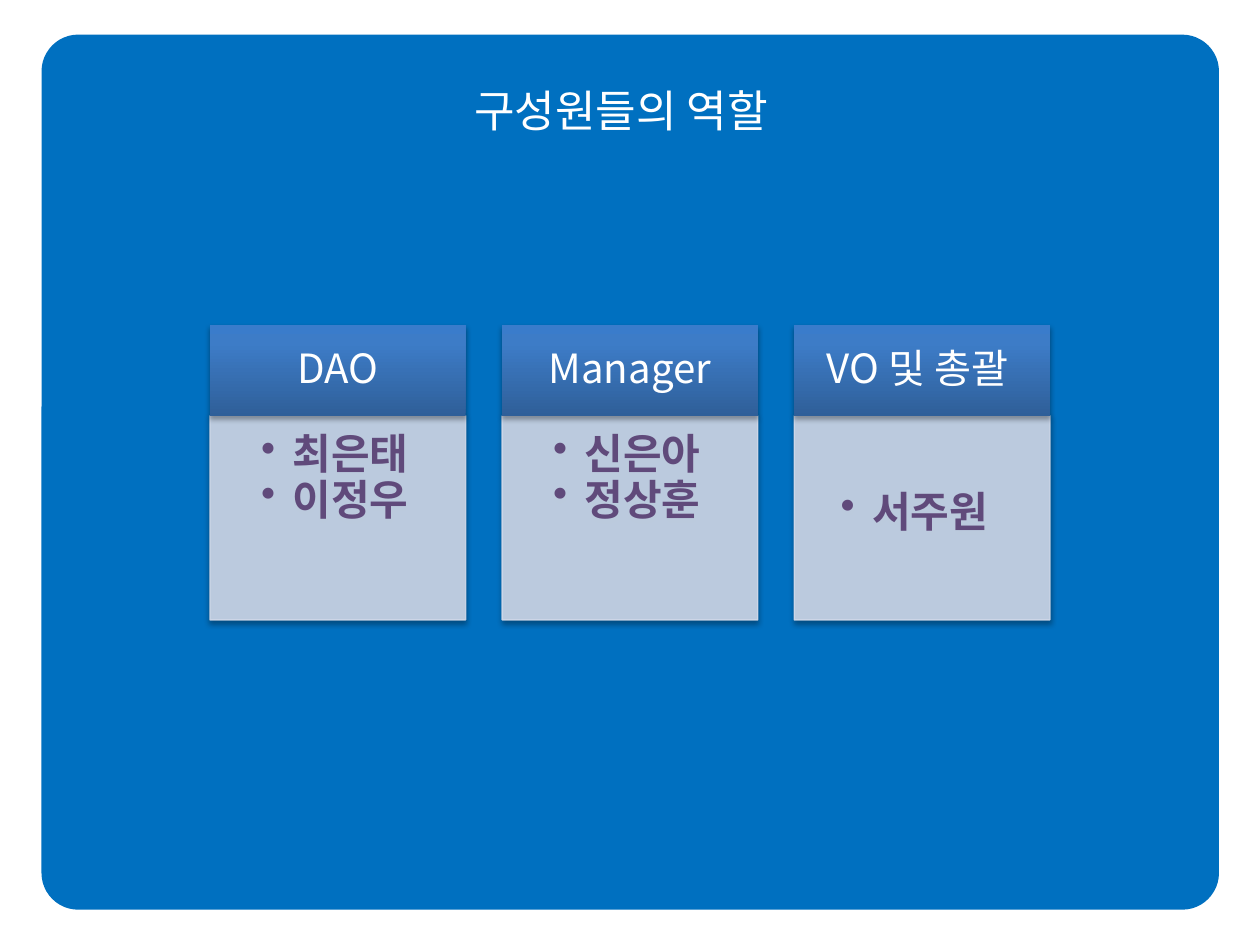
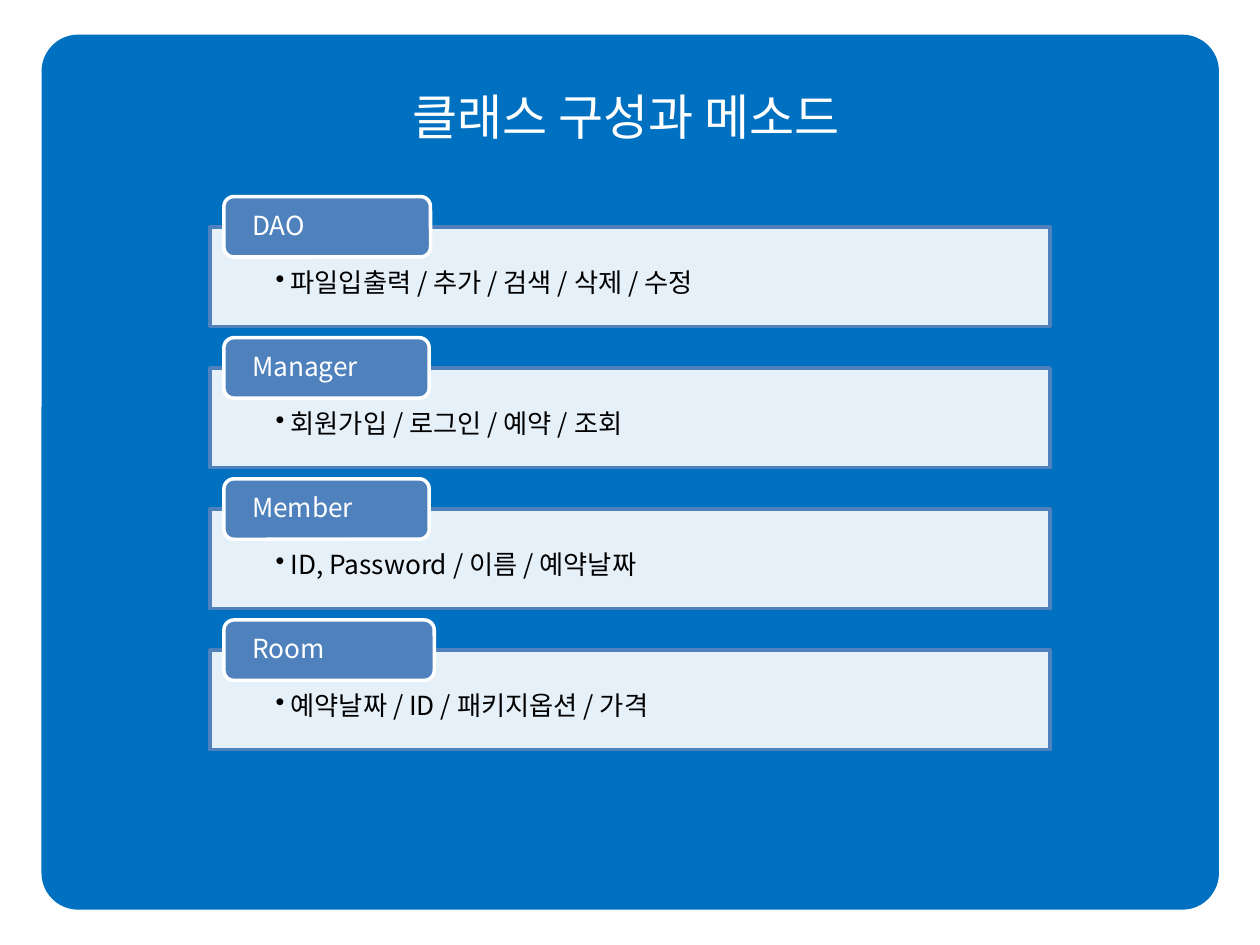
from dataclasses import dataclass

from lxml.etree import SubElement
from pptx import Presentation
from pptx.dml.color import RGBColor
from pptx.enum.shapes import MSO_SHAPE
from pptx.enum.text import MSO_ANCHOR, PP_ALIGN
from pptx.oxml import parse_xml
from pptx.oxml.ns import nsdecls, qn
from pptx.util import Emu, Inches, Pt

COLS, ROWS = 100, 75
WIDTH, HEIGHT = Inches(10), Inches(7.5)
UNIT = WIDTH // COLS


@dataclass(frozen=True)
class Theme:
    panel: str = "0070C0"
    white: str = "FFFFFF"
    black: str = "000000"
    accent: str = "4F81BD"
    card: str = "D0D8E8"
    member: str = "604A7B"
    header: tuple = ((0, "2F5F99"), (80, "3D7CC7"), (100, "3A7CCB"))
    font: str = "Noto Sans CJK KR"
    alt_font: str = "Noto Sans CJK JP"
    role_size: float = 23
    member_size: float = 24
    row_size: float = 15


@dataclass(frozen=True)
class Box:
    """Place on the slide in grid columns and rows."""
    x: float
    y: float
    w: float
    h: float

    def inner(self, x, y, w, h):
        return Box(self.x + x, self.y + y, w, h)

    def emu(self):
        return [Emu(round(v * UNIT)) for v in (self.x, self.y, self.w, self.h)]


T = Theme()
SLIDE = Box(0, 0, COLS, ROWS)
CONTENT = SLIDE.inner(16.67, 15.6, 66.67, 43.9)

ROLES = [
    ("DAO", ["최은태", "이정우"], T.alt_font, MSO_ANCHOR.TOP),
    ("Manager", ["신은아", "정상훈"], T.alt_font, MSO_ANCHOR.TOP),
    ("VO 및 총괄 ", ["서주원 "], T.font, MSO_ANCHOR.MIDDLE),
]
CLASSES = [
    ("DAO", "파일입출력 / 추가 / 검색 / 삭제 / 수정", 16.4),
    ("Manager", "회원가입 / 로그인 / 예약 / 조회", 16.3),
    ("Member", "ID, Password / 이름 / 예약날짜", 16.3),
    ("Room", "예약날짜 / ID / 패키지옵션 / 가격", 16.7),
]


def set_alpha(fill, percent):
    color = fill._xPr.find(qn("a:solidFill"))[0]
    SubElement(color, qn("a:alpha"), val=str(percent * 1000))


def add_box(s, box, kind=MSO_SHAPE.RECTANGLE, fill=None, line=None, width=2, alpha=100):
    sp = s.shapes.add_shape(kind, *box.emu())
    sp.shadow.inherit = False
    if fill:
        sp.fill.solid()
        sp.fill.fore_color.rgb = RGBColor.from_string(fill)
        if alpha < 100:
            set_alpha(sp.fill, alpha)
    if line:
        sp.line.color.rgb = RGBColor.from_string(line)
        sp.line.width = Pt(width)
    else:
        sp.line.fill.background()
    return sp


def fill_gradient(sp, stops):
    """Fill from the bottom edge upwards."""
    sp.fill.gradient()
    sp.fill.gradient_angle = 90
    gs_list = sp.fill._xPr.find(qn("a:gradFill")).find(qn("a:gsLst"))
    for gs in list(gs_list):
        gs_list.remove(gs)
    for pos, color in stops:
        gs = SubElement(gs_list, qn("a:gs"), pos=str(pos * 1000))
        SubElement(gs, qn("a:srgbClr"), val=color)


def add_shadow(sp):
    effects = sp._element.spPr.find(qn("a:effectLst"))
    effects.append(parse_xml(
        f'<a:outerShdw {nsdecls("a")} blurRad="{Pt(3.1)}" dist="{Pt(1.8)}" dir="5400000" '
        'rotWithShape="0"><a:srgbClr val="000000"><a:alpha val="35000"/></a:srgbClr>'
        '</a:outerShdw>'))


def write(sp, *lines, size, color=T.white, font=T.font, bold=False, align=PP_ALIGN.LEFT,
          anchor=MSO_ANCHOR.MIDDLE, insets=(0.1, 0.05, 0.1, 0.05), spacing=0.9, bullet=0):
    """Write one paragraph per line; bullet is the hanging indent in inches."""
    tf = sp.text_frame
    tf.word_wrap = True
    tf.vertical_anchor = anchor
    tf.margin_left, tf.margin_top, tf.margin_right, tf.margin_bottom = map(Inches, insets)
    for i, line in enumerate(lines):
        p = tf.paragraphs[0] if i == 0 else tf.add_paragraph()
        p.alignment = align
        p.line_spacing = spacing
        if bullet:
            pPr = p._p.get_or_add_pPr()
            pPr.set("marL", str(Inches(bullet)))
            pPr.set("indent", str(-Inches(bullet)))
            SubElement(pPr, qn("a:buChar"), char="•")
        r = p.add_run()
        r.text = line
        r.font.size, r.font.bold, r.font.name = Pt(size), bold, font
        r.font.color.rgb = RGBColor.from_string(color)
        SubElement(r._r.get_or_add_rPr(), qn("a:ea"), typeface=font)


def add_base(prs, title, box, size):
    """Add a slide with the rounded panel and its title."""
    s = prs.slides.add_slide(prs.slide_layouts[6])
    panel = add_box(s, SLIDE.inner(3.3, 2.75, 93.45, 69.45),
                    MSO_SHAPE.ROUNDED_RECTANGLE, T.panel)
    panel.adjustments[0] = 0.042
    write(s.shapes.add_textbox(*box.emu()), title, size=size,
          align=PP_ALIGN.CENTER, spacing=1.0)
    return s


def add_role_card(s, box, role, members, font, anchor):
    head_h = 7.2
    body = add_box(s, box.inner(0, head_h, box.w, box.h - head_h),
                   fill=T.card, line=T.card, width=0.75, alpha=90)
    set_alpha(body.line.fill, 90)
    head = add_box(s, box.inner(0, 0, box.w, head_h))
    fill_gradient(head, T.header)
    for sp in (head, body):
        add_shadow(sp)
    write(head, role, size=T.role_size, align=PP_ALIGN.CENTER, insets=(0.18, 0.1, 0.18, 0.1))
    write(body, *members, size=T.member_size, color=T.member, font=font, bold=True,
          align=PP_ALIGN.CENTER, anchor=anchor, insets=(0.14, 0.14, 0.19, 0.21), bullet=0.25)


def add_class_row(s, box, name, methods, tab_w):
    body = add_box(s, box.inner(0, 2.4, box.w, 7.9), fill=T.white, line=T.accent, alpha=90)
    write(body, methods, size=T.row_size, color=T.black, anchor=MSO_ANCHOR.TOP,
          insets=(0.52, 0.34, 0.52, 0.12), bullet=0.12)
    tab = add_box(s, box.inner(1.1, 0, tab_w, 4.8), MSO_SHAPE.ROUNDED_RECTANGLE,
                  T.accent, T.white)
    write(tab, name, size=T.row_size, insets=(0.2, 0, 0.2, 0))


def roles_slide(prs):
    s = add_base(prs, "구성원들의 역할", SLIDE.inner(20.9, 5.5, 56.8, 6.4), 25.2)
    card_w = 20.3
    step = (CONTENT.w - card_w) / (len(ROLES) - 1)
    for i, role in enumerate(ROLES):
        add_role_card(s, CONTENT.inner(i * step, 10.2, card_w, 23.4), *role)


def classes_slide(prs):
    s = add_base(prs, "클래스 구성과 메소드 ", SLIDE.inner(5.1, 6, 90, 6.4), 28)
    row_h = 10.3
    step = (CONTENT.h - row_h) / (len(CLASSES) - 1)
    for i, row in enumerate(CLASSES):
        add_class_row(s, CONTENT.inner(0, i * step, CONTENT.w, row_h), *row)


def main():
    prs = Presentation()
    prs.slide_width, prs.slide_height = WIDTH, HEIGHT
    roles_slide(prs)
    classes_slide(prs)
    prs.save("out.pptx")


if __name__ == "__main__":
    main()
